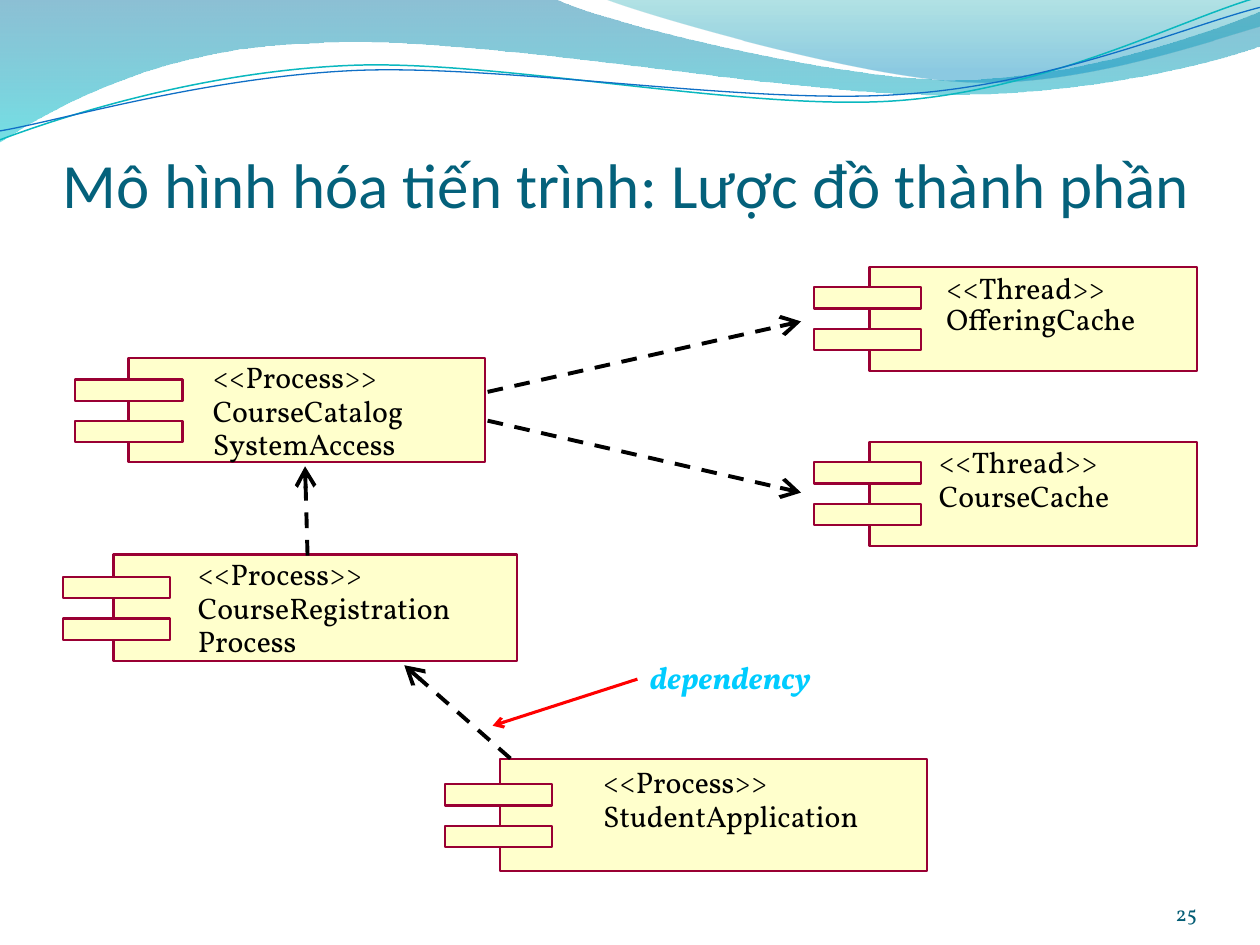
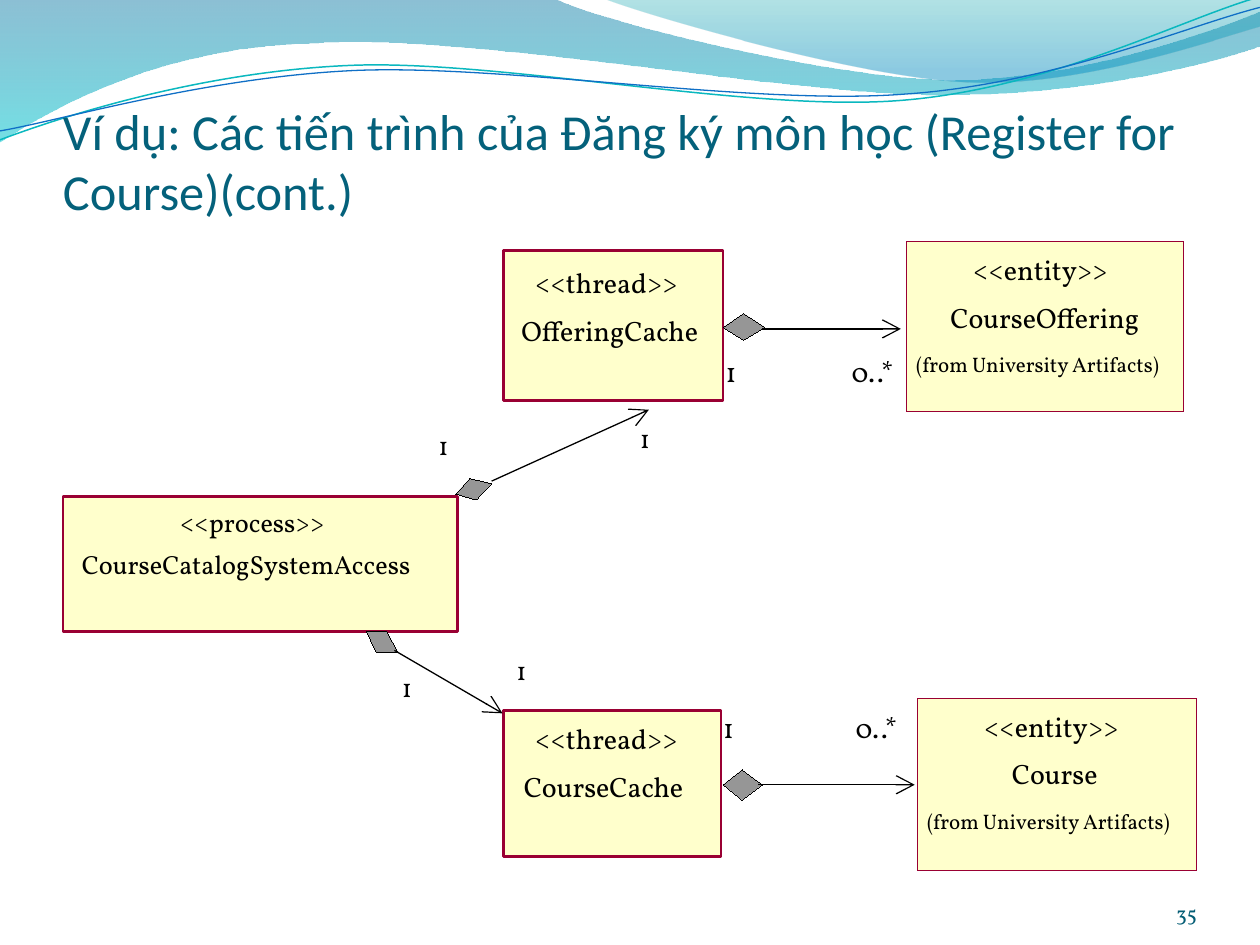
from lxml import etree
from pptx import Presentation
from pptx import util as u
from pptx.dml.color import RGBColor
from pptx.enum import dml, shapes, text
from pptx.oxml.ns import qn

TITLE_FONT, BODY_FONT = "Calibri", "Vollkorn"
TITLE_COLOUR, NUMBER_COLOUR = "04617B", "045D75"
BOX_FILL, BOX_LINE, DIAMOND_FILL = "FFFFCC", "990033", "969696"
BLACK, RED, CYAN = "000000", "FF0000", "00CCFF"
HAIRLINE = 0.01

TITLE_BOX = (1.27, 1.96, 22.86, 2.49)
NUMBER_BOX = (22.03, 17.65, 2.1, 1.02)

# Each outline is a start point, then lines (x, y) and Bézier curves (six numbers).
WAVES = [
    ([(0, 0), (11.18, -0.03), (12.09, 0.43, 16.87, 1.6, 19.25, 1.6),
      (21.67, 1.6, 24.33, 0.66, 25.4, 0.23), (25.43, 0.91),
      (24.97, 1.12, 22.1, 1.93, 18.95, 1.91), (15.8, 1.91, 9.7, 0.71, 6.53, 0.86),
      (3.28, 0.91, 1.17, 2.11, -0.03, 2.87), (0, 0)],
     [(0, "0074A1", 45), (1, "00C6CF", 55)]),
    ([(12.17, -0.03), (12.93, 0.28, 17.32, 1.57, 19.53, 1.65),
      (21.74, 1.75, 24.41, 0.81, 25.4, 0.53), (25.4, 0), (12.17, -0.03)],
     [(0, "00A1A9", 30), (0.8, "008BBF", 45)]),
]
STRANDS = [
    ([(0, 2.82), (1.22, 2.36, 4.01, 1.45, 7.04, 1.32),
      (10.03, 1.19, 15.06, 2.26, 18.11, 2.03),
      (21.16, 1.8, 23.83, 0.38, 25.35, -0.05)], "0AB8BF", 0.85),
    ([(0, 2.64), (1.19, 2.44, 4.17, 1.55, 7.19, 1.42),
      (10.24, 1.3, 15.16, 2.13, 18.21, 1.9),
      (21.23, 1.7, 23.9, 0.53, 25.4, 0.15)], "0F6FC6", 0.75),
]


def rgb(colour):
    return RGBColor.from_string(colour)


def cm(*lengths):
    return [u.Cm(length) for length in lengths]


def set_line(shape, colour, width):
    shape.line.color.rgb = rgb(colour)
    shape.line.width = u.Pt(width)


def add_outline(slide, outline, close=True):
    """Draw an outline; six-number segments become Bézier curves."""
    start, *segments = outline
    points = [cm(*segment[i:i + 2]) for segment in segments
              for i in range(0, len(segment), 2)]
    builder = slide.shapes.build_freeform(*cm(*start))
    builder.add_line_segments(points, close=close)
    drawn = builder.convert_to_shape()
    drawn.shadow.inherit = False
    steps = iter(list(drawn._element.spPr.iter(qn("a:lnTo"))))
    for segment in segments:
        step = next(steps)
        if len(segment) == 6:
            step.tag = qn("a:cubicBezTo")
            for control in (next(steps), next(steps)):
                step.append(control[0])
                control.getparent().remove(control)
    return drawn


def add_waves(slide):
    for outline, stops in WAVES:
        wave = add_outline(slide, outline)
        wave.line.fill.background()
        wave.fill.gradient()
        wave.fill.gradient_angle = 270
        for stop, (position, colour, _) in zip(wave.fill.gradient_stops, stops):
            stop.position = position
            stop.color.rgb = rgb(colour)
        tints = wave._element.spPr.iter(qn("a:srgbClr"))
        for tint, (_, _, opacity) in zip(tints, stops):
            etree.SubElement(tint, qn("a:alpha")).set("val", str(opacity * 1000))
    for outline, colour, width in STRANDS:
        strand = add_outline(slide, outline, close=False)
        strand.fill.background()
        set_line(strand, colour, width)


def add_text(slide, box, words, size, colour=BLACK, font=BODY_FONT, wrap=False,
             anchor=text.MSO_ANCHOR.TOP, align=text.PP_ALIGN.LEFT):
    """Add a text box without margins and return its run's font."""
    frame = slide.shapes.add_textbox(*cm(*box)).text_frame
    frame.text = words
    frame.word_wrap = wrap
    frame.vertical_anchor = anchor
    frame.margin_left = frame.margin_right = frame.margin_top = frame.margin_bottom = 0
    paragraph = frame.paragraphs[0]
    paragraph.alignment = align
    letters = paragraph.runs[0].font
    letters.size, letters.name = u.Pt(size), font
    letters.color.rgb = rgb(colour)
    return letters


def add_box(slide, box, line_width):
    rectangle = slide.shapes.add_shape(shapes.MSO_SHAPE.RECTANGLE, *cm(*box))
    rectangle.shadow.inherit = False
    rectangle.fill.solid()
    rectangle.fill.fore_color.rgb = rgb(BOX_FILL)
    set_line(rectangle, BOX_LINE, line_width)


def add_arrow(slide, ends, colour=BLACK, width=0.75, dashed=False, head="lg"):
    arrow = slide.shapes.add_connector(shapes.MSO_CONNECTOR.STRAIGHT, *cm(*ends))
    set_line(arrow, colour, width)
    if dashed:
        arrow.line.dash_style = dml.MSO_LINE.DASH
    properties = arrow._element.spPr
    etree.SubElement(properties.find(qn("a:ln")), qn("a:tailEnd"),
                     type="arrow", w=head, len=head)
    etree.SubElement(properties, qn("a:effectLst"))


def new_slide(deck, title, title_size, number):
    """Add a slide with the shared waves, title and slide number."""
    slide = deck.slides.add_slide(deck.slide_layouts[6])
    add_waves(slide)
    add_text(slide, TITLE_BOX, title, title_size, TITLE_COLOUR, TITLE_FONT, True,
             text.MSO_ANCHOR.BOTTOM)
    add_text(slide, NUMBER_BOX, number, 12, NUMBER_COLOUR, wrap=True,
             anchor=text.MSO_ANCHOR.BOTTOM, align=text.PP_ALIGN.RIGHT)
    return slide


def add_component(slide, box, tab_offset, indent, drop, pitch, lines):
    """Draw a UML component: a box with two tabs on its left edge."""
    left, top, _, _ = box
    tab_x, tab_y = tab_offset
    add_box(slide, box, 1.25)
    for tab in range(2):
        add_box(slide, (left + tab_x, top + tab_y + 0.84 * tab, 2.16, 0.43), 1.25)
    for row, (width, words) in enumerate(lines):
        add_text(slide, (left + indent, top + drop + pitch * row, width, 0.69), words, 17)


def add_class(slide, box, line_width, size, drops, lines):
    """Draw a class box; each line is its indent, width, words and perhaps size."""
    left, top, _, _ = box
    add_box(slide, box, line_width)
    for drop, (indent, width, words, *own_size) in zip(drops, lines):
        line_size = own_size[0] if own_size else size
        add_text(slide, (left + indent, top + drop, width, 0.06 * line_size),
                 words, line_size)


def component_slide(deck):
    slide = new_slide(deck, "Mô hình hóa tiến trình: Lược đồ thành phần", 36, "25")
    process, thread = (4.19, "<<Process>>"), (3.89, "<<Thread>>")
    components = [
        ((2.59, 7.21, 7.19, 2.11), (-1.07, 0.44), 1.7, 0.03, 0.67,
         [process, (4.72, "CourseCatalog"), (4.65, "SystemAccess")]),
        ((2.29, 11.18, 8.13, 2.14), (-1.02, 0.45), 1.7, 0.03, 0.67,
         [process, (6.07, "CourseRegistration"), (2.57, "Process")]),
        ((10.08, 15.3, 8.61, 2.26), (-1.11, 0.51), 2.08, 0.1, 0.69,
         [process, (5.92, "StudentApplication")]),
        ((17.53, 5.38, 6.6, 2.1), (-1.12, 0.41), 1.55, 0.05, 0.63,
         [thread, (4.57, "OfferingCache")]),
        ((17.53, 8.91, 6.6, 2.1), (-1.12, 0.41), 1.4, 0.03, 0.69,
         [thread, (4.34, "CourseCache")]),
    ]
    for component in components:
        add_component(slide, *component)
    dependencies = [(9.83, 7.9, 16.15, 6.48), (9.83, 8.48, 16.15, 9.93),
                    (6.2, 11.2, 6.15, 9.4), (10.29, 15.29, 8.15, 13.41)]
    for ends in dependencies:
        add_arrow(slide, ends, width=2.25, dashed=True)
    add_arrow(slide, (12.85, 13.69, 9.93, 14.63), RED, 1.75, head="med")
    caption = add_text(slide, (13.1, 13.26, 4.72, 0.84), "dependency", 18, CYAN, wrap=True)
    caption.bold = caption.italic = True


def class_slide(deck):
    slide = new_slide(
        deck, "Ví dụ: Các tiến trình của Đăng ký môn học (Register for Course)(cont.)",
        28.8, "35")
    thread, entity = (0.64, 3.1, "<<thread>>"), (1.35, 2.84, "<<entity>>")
    origin = (0.2, 5.05, "(from University Artifacts)", 12)
    entity_drops = (0.23, 1.18, 2.22)
    classes = [
        ((1.27, 10.01, 7.95, 2.72), 1.5, 15, (0.2, 1.05),
         [(2.36, 3.28, "<<process>>"), (0.38, 7.44, "CourseCatalogSystemAccess")]),
        ((10.15, 5.05, 4.43, 3.02), 1.5, 16, (0.31, 1.27),
         [thread, (0.36, 3.86, "OfferingCache")]),
        ((10.15, 14.32, 4.39, 2.95), 1.5, 16, (0.23, 1.19),
         [thread, (0.41, 3.68, "CourseCache")]),
        ((18.27, 4.87, 5.59, 3.43), HAIRLINE, 16, entity_drops,
         [entity, (0.89, 4.06, "CourseOffering"), origin]),
        ((18.49, 14.08, 5.64, 3.48), HAIRLINE, 16, entity_drops,
         [entity, (1.91, 1.93, "Course"), origin]),
    ]
    for class_parts in classes:
        add_class(slide, *class_parts)

    # Each aggregation: diamond corners, arrow ends.
    aggregations = [
        ([(14.58, 6.6), (14.99, 6.86), (15.42, 6.6), (14.99, 6.32)],
         (15.37, 6.63, 18.16, 6.63)),
        ([(14.58, 15.82), (14.96, 16.13), (15.37, 15.82), (14.96, 15.52)],
         (15.29, 15.82, 18.44, 15.82)),
        ([(9.19, 9.96), (9.6, 10.08), (9.91, 9.75), (9.47, 9.65)],
         (9.91, 9.7, 13.08, 8.26)),
        ([(7.39, 12.73), (7.8, 12.73), (8.03, 13.16), (7.59, 13.16)],
         (7.95, 13.11, 10.13, 14.38)),
    ]
    for corners, ends in aggregations:
        diamond = add_outline(slide, corners + corners[:1])
        diamond.fill.solid()
        diamond.fill.fore_color.rgb = rgb(DIAMOND_FILL)
        set_line(diamond, BLACK, HAIRLINE)
        add_arrow(slide, ends)

    one, many = (0.33, "1"), (0.91, "0..*")
    multiplicities = [
        (14.63, 7.14, one, 16), (17.17, 7.14, many, 16),
        (14.58, 14.33, one, 16), (17.25, 14.33, many, 16),
        (8.84, 8.66, one, 15), (12.9, 8.51, one, 15),
        (8.1, 13.54, one, 15), (10.41, 13.19, one, 15),
    ]
    for left, top, (width, words), size in multiplicities:
        add_text(slide, (left, top, width, 0.06 * size), words, size)


def main():
    deck = Presentation()
    deck.slide_width, deck.slide_height = cm(25.4, 19.05)
    component_slide(deck)
    class_slide(deck)
    deck.save("out.pptx")


if __name__ == "__main__":
    main()
